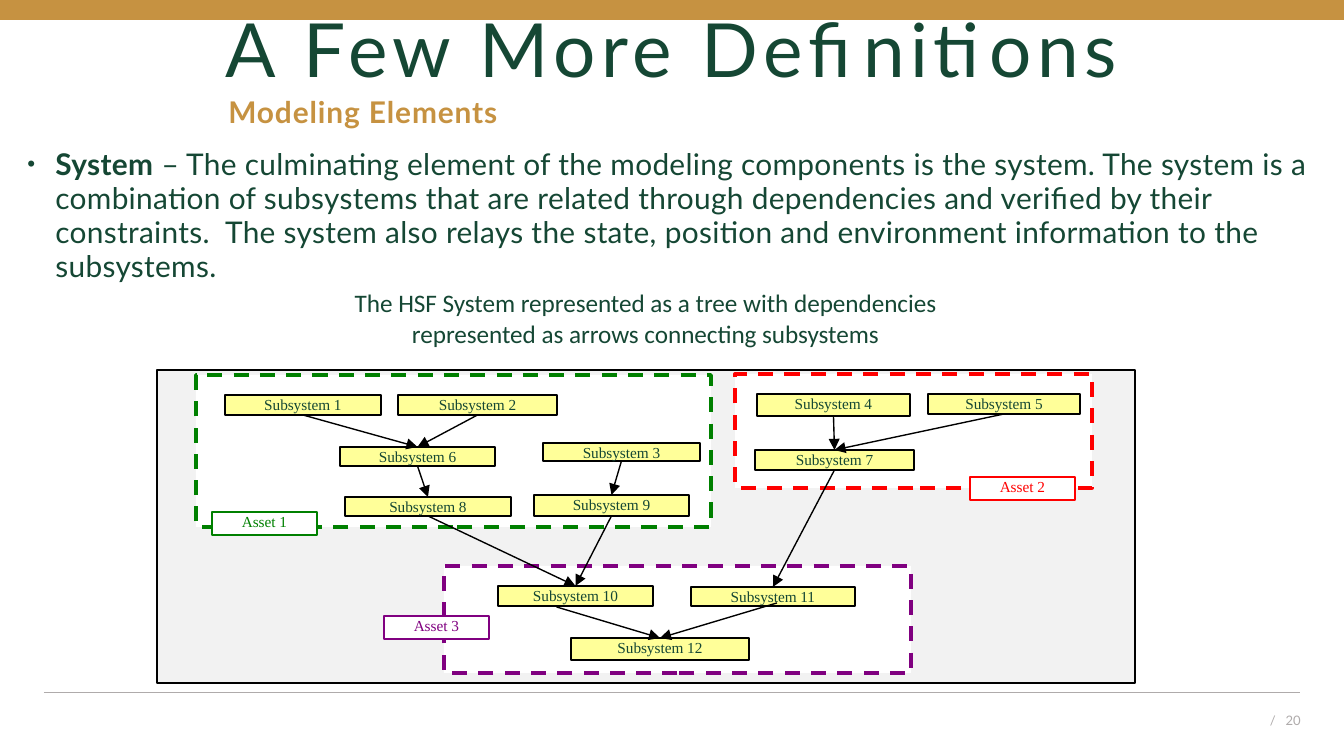
from lxml import etree
from pptx import Presentation
from pptx.dml.color import RGBColor
from pptx.enum.dml import MSO_LINE
from pptx.enum.shapes import MSO_CONNECTOR, MSO_SHAPE
from pptx.enum.text import MSO_ANCHOR, MSO_AUTO_SIZE, PP_ALIGN
from pptx.oxml.ns import qn
from pptx.util import Pt

RECTANGLE = MSO_SHAPE.RECTANGLE
STRAIGHT = MSO_CONNECTOR.STRAIGHT
DASH = MSO_LINE.DASH
LEFT, CENTER, RIGHT = PP_ALIGN.LEFT, PP_ALIGN.CENTER, PP_ALIGN.RIGHT
TOP, MIDDLE = MSO_ANCHOR.TOP, MSO_ANCHOR.MIDDLE

DARK_GREEN = RGBColor(0x15, 0x47, 0x34)
GOLD = RGBColor(0xC6, 0x92, 0x41)
GRAY = RGBColor(0xAF, 0xAB, 0xAB)
SILVER = RGBColor(0xC0, 0xC0, 0xC0)
YELLOW = RGBColor(0xFF, 0xFF, 0x99)
WHITE = RGBColor(0xFF, 0xFF, 0xFF)
BLACK = RGBColor(0, 0, 0)
GREEN = RGBColor(0, 0x80, 0)
PURPLE = RGBColor(0x80, 0, 0x80)
RED = RGBColor(0xFF, 0, 0)

TITLE = "A Few More Definitions"
SUBTITLE = "Modeling Elements"
DEFINITION = [
    ("System", True),
    (" – The culminating element of the modeling components is the system. "
     "The system is a combination of subsystems that are related through "
     "dependencies and verified by their constraints.  The system also relays "
     "the state, position and environment information to the subsystems.", False),
]
CAPTION = ("The HSF System represented as a tree with dependencies "
           "represented as arrows connecting subsystems")
PAGE = "/   20"

SYSTEM_AREA = (157, 370, 978, 313)
ASSETS = [
    ("Asset 1", GREEN, (196, 375, 515, 152), (212, 512)),
    ("Asset 3", PURPLE, (444, 566, 467, 107), (384, 616)),
    ("Asset 2", RED, (735, 374, 357, 114), (970, 477)),
]
ASSET_LABEL_SIZE = (105, 23)
SUBSYSTEMS = {
    1: (225, 395, 156, 20), 2: (398, 395, 159, 20), 3: (543, 443, 157, 18),
    4: (757, 394, 153, 22), 5: (928, 394, 152, 20), 6: (340, 447, 155, 19),
    7: (755, 450, 159, 20), 8: (345, 497, 166, 19), 9: (534, 495, 155, 21),
    10: (498, 586, 155, 20), 11: (691, 587, 164, 19), 12: (571, 638, 178, 22),
}
DEPENDENCIES = [(1, 6), (2, 6), (6, 8), (3, 9), (8, 10), (9, 10), (10, 12),
                (4, 7), (5, 7), (7, 11), (11, 12)]
START_SHIFTS = {10: (-19, 1), 11: (4, -3)}


def px(length):
    return round(length * 914400 / 134.4)


def place(shape, box):
    shape.left, shape.top, shape.width, shape.height = map(px, box)


def write(shape, runs, size, font="Lato", color=DARK_GREEN, bold=False,
          align=LEFT, anchor=TOP, inset=None, line_spacing=1.0, space_after=0,
          tracking=0, indent=(0, 0), bullet=None):
    frame = shape.text_frame
    frame.word_wrap = True
    frame.auto_size = MSO_AUTO_SIZE.NONE
    frame.vertical_anchor = anchor
    if inset is not None:
        frame.margin_left = frame.margin_right = inset
        frame.margin_top = frame.margin_bottom = inset
    paragraph = frame.paragraphs[0]
    paragraph.alignment = align
    paragraph.line_spacing = line_spacing
    paragraph.space_before = Pt(0)
    paragraph.space_after = Pt(space_after)
    properties = paragraph._p.get_or_add_pPr()
    properties.set("marL", str(px(indent[0])))
    properties.set("indent", str(px(indent[1])))
    if bullet:
        etree.SubElement(properties, qn("a:buSzPct")).set("val", "75000")
        etree.SubElement(properties, qn("a:buChar")).set("char", bullet)
    else:
        etree.SubElement(properties, qn("a:buNone"))
    for text, run_bold in [(runs, bold)] if isinstance(runs, str) else runs:
        run = paragraph.add_run()
        run.text = text
        run.font.name = font
        run.font.size = Pt(size)
        run.font.bold = run_bold
        run.font.color.rgb = color
        if tracking:
            run._r.get_or_add_rPr().set("spc", str(round(tracking * 100)))


def add_box(shapes, box, fill, line=None, width=0.75, dash=None, opacity=None):
    shape = shapes.add_shape(RECTANGLE, *map(px, box))
    shape.shadow.inherit = False
    shape.fill.solid()
    shape.fill.fore_color.rgb = fill
    if opacity:
        color = shape._element.spPr.find(qn("a:solidFill"))[0]
        etree.SubElement(color, qn("a:alpha")).set("val", str(opacity * 1000))
    if line is None:
        shape.line.fill.background()
    else:
        shape.line.color.rgb = line
        shape.line.width = Pt(width)
        if dash:
            shape.line.dash_style = dash
    return shape


def add_label(shapes, box, text, fill, line, color):
    shape = add_box(shapes, box, fill, line)
    write(shape, text, size=8.2, font="Times New Roman", color=color,
          align=CENTER, inset=0)


def add_line(shapes, start, end, color, width, arrow=False):
    connector = shapes.add_connector(STRAIGHT, *map(px, start + end))
    connector.line.color.rgb = color
    connector.line.width = Pt(width)
    if arrow:
        outline = connector.line._get_or_add_ln()
        etree.SubElement(outline, qn("a:tailEnd")).set("type", "triangle")
    etree.SubElement(connector._element.spPr, qn("a:effectLst"))


def add_diagram(slide):
    shapes = slide.shapes.add_group_shape().shapes
    add_box(shapes, SYSTEM_AREA, SILVER, BLACK, opacity=20)
    for _, color, area, _ in ASSETS:
        add_box(shapes, area, WHITE, color, width=2, dash=DASH)
    for number, box in SUBSYSTEMS.items():
        add_label(shapes, box, f"Subsystem {number}", YELLOW, BLACK, DARK_GREEN)
    for source, target in DEPENDENCIES:
        left, top, width, height = SUBSYSTEMS[source]
        shift_x, shift_y = START_SHIFTS.get(source, (0, 0))
        start = (left + width / 2 + shift_x, top + height + shift_y)
        left, top, width, _ = SUBSYSTEMS[target]
        add_line(shapes, start, (left + width / 2, top), BLACK, 0.75, arrow=True)
    for name, color, _, corner in ASSETS:
        add_label(shapes, corner + ASSET_LABEL_SIZE, name, WHITE, color, color)


def main():
    presentation = Presentation()
    presentation.slide_width, presentation.slide_height = px(1344), px(756)
    slide = presentation.slides.add_slide(presentation.slide_layouts[3])
    title, subtitle, definition = slide.placeholders

    add_line(slide.shapes, (44, 693), (1300, 693), GRAY, 0.5)
    add_box(slide.shapes, (0, 0, 1344, 20), GOLD)

    place(title, (93, 19, 1158, 68))
    write(title, TITLE, size=40, align=CENTER, anchor=MIDDLE,
          line_spacing=0.9, tracking=3)
    place(subtitle, (215, 85, 860, 56))
    write(subtitle, SUBTITLE, size=16, color=GOLD, bold=True,
          line_spacing=Pt(20.2), tracking=0.5)
    place(definition, (0, 141, 1344, 124))
    write(definition, DEFINITION, size=16, line_spacing=Pt(18.2), space_after=3,
          tracking=0.2, indent=(42, -28), bullet="•")

    page = slide.shapes.add_textbox(*map(px, (1254, 700, 60, 40)))
    write(page, PAGE, size=7, color=GRAY, align=RIGHT, anchor=MIDDLE)
    add_diagram(slide)
    caption = slide.shapes.add_textbox(*map(px, (323, 281, 645, 75)))
    write(caption, CAPTION, size=13.5, font="Calibri", align=CENTER)

    presentation.save("out.pptx")


if __name__ == "__main__":
    main()
